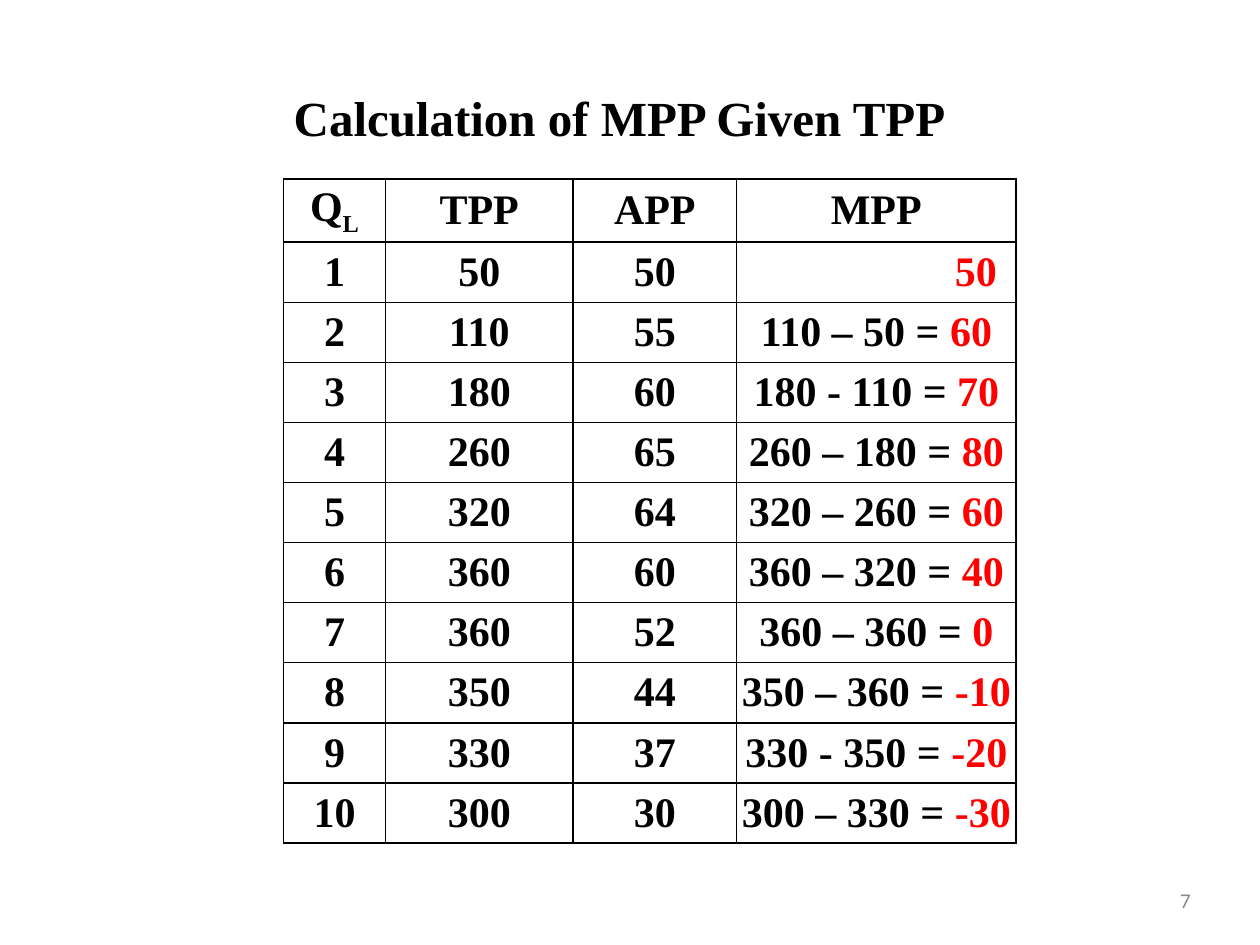
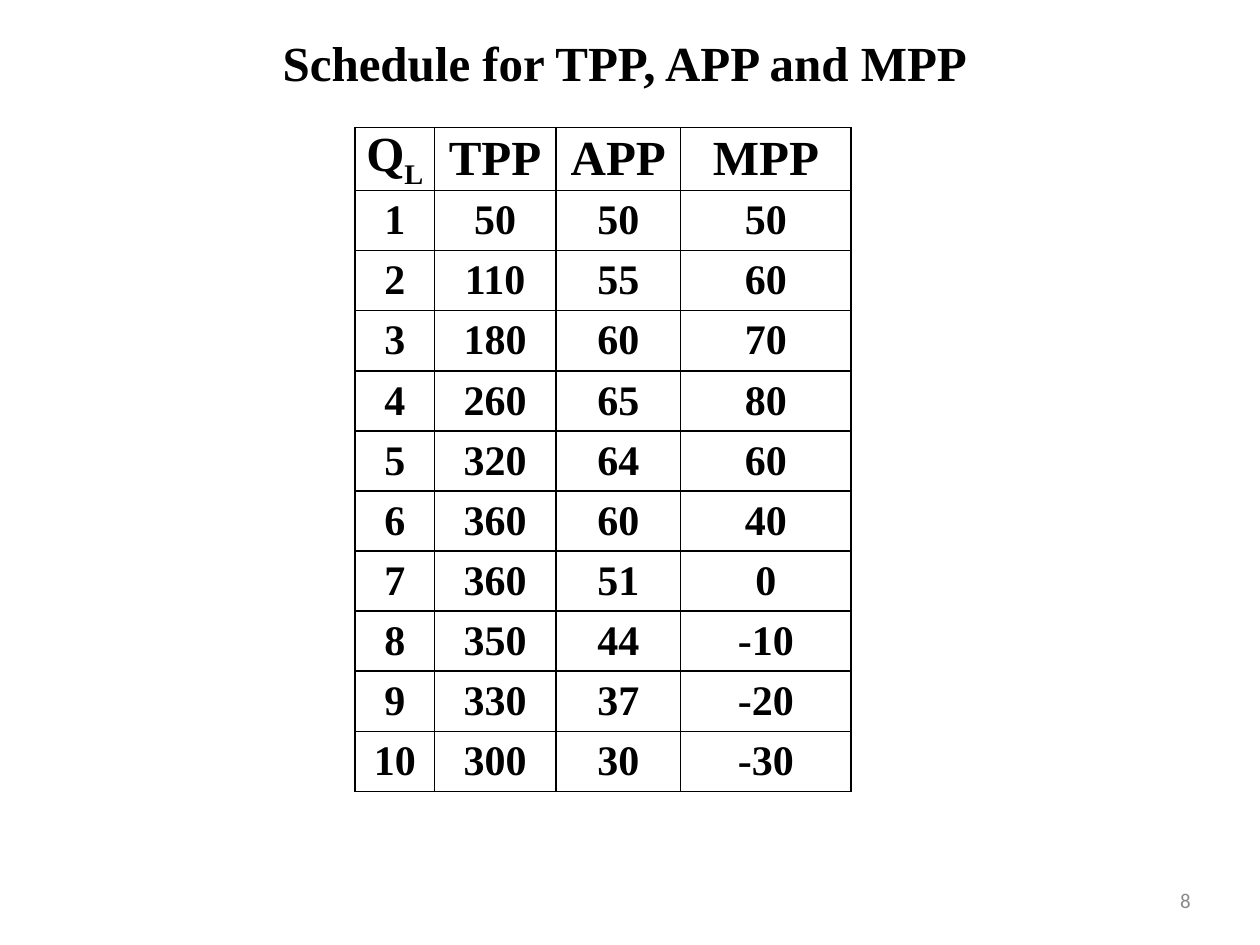
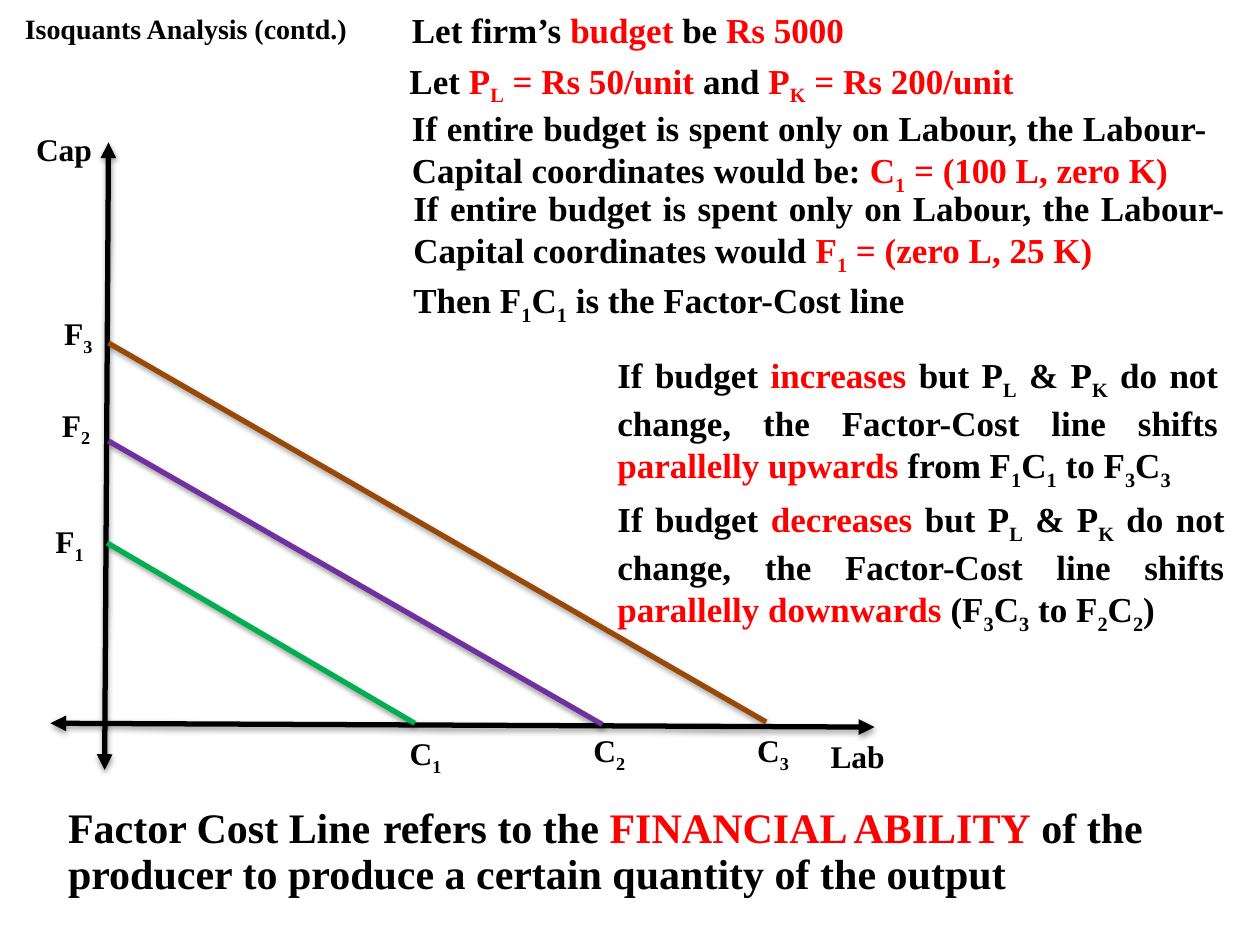
from lxml import etree
from pptx import Presentation
from pptx.dml.color import RGBColor
from pptx.enum import shapes, text
from pptx.oxml import ns, parse_xml
from pptx.util import Pt

SERIF, SANS = "Times New Roman", "Calibri"
BLACK, RED, GREY = "000000", "FF0000", "898989"
GREEN, PURPLE, BROWN = "00B050", "7030A0", "984807"
INSET = 3.6
LEFT, CENTER = text.PP_ALIGN.LEFT, text.PP_ALIGN.CENTER
RIGHT, JUSTIFY = text.PP_ALIGN.RIGHT, text.PP_ALIGN.JUSTIFY

HEADINGS = ["Q~L~", "TPP", "APP", "MPP"]
TPP = [50, 110, 180, 260, 320, 360, 360, 350, 330, 300]
MPP = [now - before for before, now in zip([0] + TPP, TPP)]
HEAD_HEIGHT, ROW_HEIGHT = 36, 34.33


def color(hex_code):
    return RGBColor.from_string(hex_code)


def add_runs(para, markup, size, align=LEFT, ink=BLACK, font=SERIF, bold=True):
    """Write markup in which *...* is red and ~...~ is subscript."""
    para.alignment = align
    for red, part in enumerate(markup.split("*")):
        for lowered, words in enumerate(part.split("~")):
            if not words:
                continue
            span = para.add_run()
            span.text = words
            span.font.name, span.font.size, span.font.bold = font, Pt(size), bold
            span.font.color.rgb = color(RED if red % 2 else ink)
            if lowered % 2:
                span.font._element.set("baseline", "-25000")


def set_frame(frame, anchor, wrap=True):
    frame.word_wrap = wrap
    frame.auto_size = text.MSO_AUTO_SIZE.NONE
    frame.vertical_anchor = anchor
    frame.margin_left = frame.margin_right = Pt(INSET)
    frame.margin_top = frame.margin_bottom = Pt(INSET)


def add_text(page, box, markup, size, align=LEFT):
    frame = page.shapes.add_textbox(*map(Pt, box)).text_frame
    set_frame(frame, text.MSO_ANCHOR.TOP)
    add_runs(frame.paragraphs[0], markup, size, align)


def add_page(deck, title, box, size=28):
    page = deck.slides.add_slide(deck.slide_layouts[5])
    holder = page.shapes.title
    holder.left, holder.top, holder.width, holder.height = map(Pt, box)
    set_frame(holder.text_frame, text.MSO_ANCHOR.MIDDLE)
    add_runs(holder.text_frame.paragraphs[0], title, size, CENTER)
    return page


def add_page_number(page, number):
    frame = page.shapes.add_textbox(Pt(663), Pt(504), Pt(21), Pt(21)).text_frame
    set_frame(frame, text.MSO_ANCHOR.MIDDLE, wrap=False)
    add_runs(frame.paragraphs[0], str(number), 12, RIGHT, GREY, SANS, False)


def format_cell(cell):
    cell.margin_left = cell.margin_right = cell.margin_top = cell.margin_bottom = 0
    cell.vertical_anchor = text.MSO_ANCHOR.MIDDLE
    properties = cell._tc.get_or_add_tcPr()
    for side in ("lnL", "lnR", "lnT", "lnB"):
        properties.append(parse_xml(
            f'<a:{side} {ns.nsdecls("a")} w="12700"><a:solidFill>'
            f'<a:srgbClr val="{BLACK}"/></a:solidFill></a:{side}>'))
    cell.fill.background()


def add_schedule(page, left, top, widths, rows, head_size=24):
    """Add a ruled table of markup rows, the first being the headings."""
    height = HEAD_HEIGHT + ROW_HEIGHT * (len(rows) - 1)
    table = page.shapes.add_table(len(rows), len(widths), Pt(left), Pt(top),
                                  Pt(sum(widths)), Pt(height)).table
    table.first_row = table.horz_banding = False
    for column, width in zip(table.columns, widths):
        column.width = Pt(width)
    for r, values in enumerate(rows):
        table.rows[r].height = Pt(ROW_HEIGHT if r else HEAD_HEIGHT)
        for c, value in enumerate(values):
            cell = table.cell(r, c)
            format_cell(cell)
            add_runs(cell.text_frame.paragraphs[0], str(value),
                     24 if r else head_size, CENTER)
    return table


def add_line(page, start, end, ink, arrows=False):
    line = page.shapes.add_connector(shapes.MSO_CONNECTOR.STRAIGHT,
                                     *map(Pt, start + end))
    line.line.width = Pt(3)
    line.line.color.rgb = color(ink)
    if arrows:
        for tip in ("a:headEnd", "a:tailEnd"):
            etree.SubElement(line.line._get_or_add_ln(), ns.qn(tip), type="triangle")
    line._element.spPr.append(parse_xml(
        f'<a:effectLst {ns.nsdecls("a")}><a:outerShdw blurRad="38100" dist="20320" '
        f'dir="5400000" rotWithShape="0"><a:srgbClr val="{BLACK}">'
        '<a:alpha val="38000"/></a:srgbClr></a:outerShdw></a:effectLst>'))


def draw_cost_lines(page, left, top):
    """Draw the labour and capital axes and the three factor-cost lines."""
    def at(x, y):
        return left + x, top + y

    def label(point, words, width=32):
        add_text(page, at(*point) + (width, 29), words, 18)

    add_line(page, at(45, 11.4), at(42.8, 370), BLACK, arrows=True)
    add_line(page, at(482.7, 345.5), at(11.8, 343.3), BLACK, arrows=True)
    label((0, 0.5), "Cap", 58)
    label((454, 347.5), "Lab", 58)
    cost_lines = [
        (GREEN, (44.2, 240.3), (220, 343.3), (11, 225), (213.4, 346)),
        (PURPLE, (45, 182), (327.2, 344), (14.7, 158.2), (318.5, 344)),
        (BROWN, (45, 126), (420.8, 342.6), (16.1, 105.7), (412, 344)),
    ]
    for number, (ink, start, end, f_label, c_label) in enumerate(cost_lines, 1):
        add_line(page, at(*start), at(*end), ink)
        label(f_label, f"F~{number}~")
        label(c_label, f"C~{number}~")


def add_notes(page, left, top):
    only_labour = ("If entire budget is spent only on Labour, "
                   "the Labour-Capital coordinates would")
    unchanged = "but P~L~ & P~K~ do not change, the Factor-Cost line shifts"
    notes = [
        (1.8, 1.4, 426, 32, LEFT, "Let firm’s *budget* be *Rs 5000*"),
        (0.4, 30.2, 429, 32, LEFT,
         "Let *P~L~ = Rs 50/unit *and *P~K~ = Rs 200/unit*"),
        (1.8, 57.6, 461.5, 55.4, JUSTIFY,
         f"{only_labour} be: *C~1~ = (100 L, zero K)*"),
        (2.6, 103, 471, 55.4, JUSTIFY, f"{only_labour} *F~1~ = (zero L, 25 K)*"),
        (2.6, 155.5, 471, 32, JUSTIFY, "Then F~1~C~1~ is the Factor-Cost line"),
        (119.2, 198.7, 350.6, 80, JUSTIFY,
         f"If budget *increases *{unchanged} *parallelly upwards*"
         " from F~1~C~1~ to F~3~C~3~"),
        (119.2, 280.8, 354.2, 80, JUSTIFY,
         f"If budget *decreases *{unchanged} *parallelly downwards*"
         " (F~3~C~3~ to F~2~C~2~)"),
    ]
    for x, y, width, height, align, markup in notes:
        add_text(page, (left + x, top + y, width, height), markup, 20, align)


def add_conclusion(page, left, top):
    add_text(page, (left, top, 186, 36), "Factor Cost Line", 24)
    add_text(page, (left + 180, top, 471, 36),
             "refers to the *FINANCIAL ABILITY* of the", 24, JUSTIFY)
    add_text(page, (left, top + 26.7, 628, 36),
             "producer to produce a certain quantity of the output", 24, JUSTIFY)


def build_calculation(deck):
    page = add_page(deck, "Calculation of MPP Given TPP", (48, 42, 612, 50))
    app = [50, 55, 60, 65, 64, 60, 52, 44, 37, 30]
    rows = [HEADINGS] + [[q, *pair, ""] for q, pair in enumerate(zip(TPP, app), 1)]
    left, top, widths = 162, 102.4, [58.3, 107.2, 93.5, 159.6]
    add_schedule(page, left, top, widths, rows)
    add_page_number(page, 7)

    workings = [[""], [f"*{MPP[0]}*"]]
    for q in range(2, len(TPP) + 1):
        dash = "-" if q in (3, 9) else "–"
        workings.append([f"{TPP[q - 1]} {dash} {TPP[q - 2]} = *{MPP[q - 1]}*"])
    table = add_schedule(page, left + sum(widths[:3]), top, widths[3:], workings)
    first = table.cell(1, 0)
    first.margin_right = Pt(11)
    first.text_frame.paragraphs[0].alignment = RIGHT


def build_schedule(deck):
    page = add_page(deck, "Schedule for TPP, APP and MPP", (51, 14.4, 612, 42))
    app = [50, 55, 60, 65, 64, 60, 51, 44, 37, 30]
    rows = [HEADINGS] + [[q, *trio] for q, trio in enumerate(zip(TPP, app, MPP), 1)]
    add_schedule(page, 203, 72.9, [45.2, 69.5, 71.3, 97.5], rows, head_size=28)
    add_page_number(page, 8)


def build_isoquants(deck):
    page = add_page(deck, "Isoquants Analysis (contd.)", (2.2, 0.7, 208, 31), 16)
    draw_cost_lines(page, 17, 70)
    add_conclusion(page, 35.3, 454.3)
    add_notes(page, 230, 0)


def main():
    deck = Presentation()
    deck.slide_width, deck.slide_height = Pt(720), Pt(540)
    build_calculation(deck)
    build_schedule(deck)
    build_isoquants(deck)
    deck.save("out.pptx")


if __name__ == "__main__":
    main()
